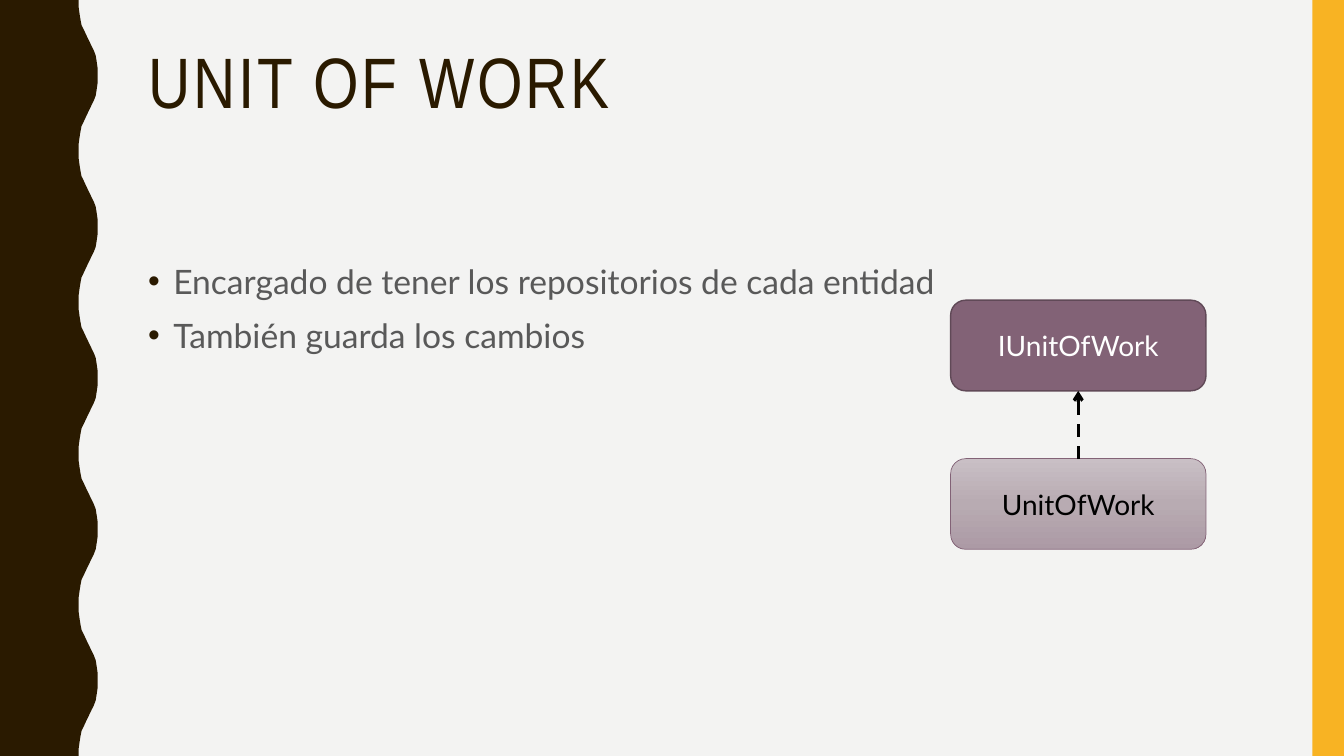
import copy

import pptx
import pptx.dml.color
import pptx.enum.dml
import pptx.enum.shapes
import pptx.enum.text
import pptx.oxml
import pptx.oxml.ns
import pptx.util

Pt = pptx.util.Pt
RGBColor = pptx.dml.color.RGBColor
Shape = pptx.enum.shapes.MSO_SHAPE
Anchor = pptx.enum.text.MSO_ANCHOR
Align = pptx.enum.text.PP_ALIGN
qn = pptx.oxml.ns.qn

PAPER = RGBColor(0xF3, 0xF3, 0xF2)
BROWN = RGBColor(0x2A, 0x1A, 0x00)
AMBER = RGBColor(0xF8, 0xB3, 0x23)
GRAY = RGBColor(0x59, 0x59, 0x59)
PLUM = RGBColor(0x82, 0x62, 0x76)
DARK_PLUM = RGBColor(0x60, 0x49, 0x57)
WHITE = RGBColor(0xFF, 0xFF, 0xFF)
BLACK = RGBColor(0x00, 0x00, 0x00)
PLUM_FADE = [
    (0, RGBColor(0xC9, 0xBF, 0xC5)),
    (0.5, RGBColor(0xB8, 0xAB, 0xB2)),
    (1, RGBColor(0xAC, 0x9A, 0xA5)),
]


def write_text(shape, lines, color, anchor, font_format, paragraph_format):
    """Fill a shape with one formatted paragraph per line and return them."""
    frame = shape.text_frame
    frame.text = "\n".join(lines)
    frame.word_wrap = True
    frame.auto_size = pptx.enum.text.MSO_AUTO_SIZE.NONE
    frame.vertical_anchor = anchor
    for para in frame.paragraphs:
        for name, value in paragraph_format.items():
            setattr(para, name, value)
        span = para.runs[0]
        for name, value in font_format.items():
            setattr(span.font, name, value)
        span.font.color.rgb = color
    return frame.paragraphs


def place(shape, left, top, width, height):
    """Move and size a shape, in points."""
    shape.left, shape.top = Pt(left), Pt(top)
    shape.width, shape.height = Pt(width), Pt(height)


deck = pptx.Presentation()
deck.slide_width, deck.slide_height = Pt(960), Pt(540)
page = deck.slides.add_slide(deck.slide_layouts[1])
page.background.fill.solid()
page.background.fill.fore_color.rgb = PAPER

# Wavy left edge: a half wave going out, then the same one mirrored back
WAVE_LENGTH = 108
HALF_WAVE = [
    (56.2, 0), (56.2, 5), (56.9, 10), (57.6, 14.4), (58.3, 18),
    (59.8, 21), (61.2, 24), (62.6, 27), (64.1, 30), (65.5, 33),
    (67, 36), (68.4, 39.6), (69.1, 44), (69.8, 49), (69.8, 54),
]
full_wave = HALF_WAVE + [(x, WAVE_LENGTH - y) for x, y in HALF_WAVE[-2::-1]]
outline = [(Pt(x), Pt(y + count * WAVE_LENGTH))
           for count in range(5) for x, y in full_wave]
builder = page.shapes.build_freeform(0, 0)
builder.add_line_segments(outline + [(0, Pt(540))], close=True)
wave_band = builder.convert_to_shape()
side_bar = page.shapes.add_shape(
    Shape.RECTANGLE, Pt(937.5), 0, Pt(22.5), Pt(540))
for band, color in [(wave_band, BROWN), (side_bar, AMBER)]:
    band.shadow.inherit = False
    band.fill.solid()
    band.fill.fore_color.rgb = color
    band.line.fill.background()

# Title and list, brought in front of the bands
title, body = page.shapes.title, page.placeholders[1]
for holder in (title, body):
    page.shapes.element.append(holder.element)
place(title, 98.6, 30.2, 801.4, 117.4)
place(body, 98.6, 180, 801.4, 283)

heading = write_text(
    title, ["UNIT OF WORK"], BROWN, Anchor.TOP,
    {"name": "Arial Narrow", "size": Pt(51)},
    {"alignment": Align.LEFT, "line_spacing": 0.9})[0]
heading.runs[0].font.element.set("spc", "200") if hasattr(
    heading.runs[0].font, "element") else heading.runs[0]._r.get_or_add_rPr().set("spc", "200")

points = write_text(
    body,
    ["Encargado de tener los repositorios de cada entidad",
     "También guarda los cambios"],
    GRAY, Anchor.TOP,
    {"name": "Lato", "size": Pt(24)},
    {"alignment": Align.LEFT, "line_spacing": 1.1, "space_before": Pt(7)})
NAMESPACE = pptx.oxml.ns.nsdecls("a")
BULLET = [
    f'<a:buClr {NAMESPACE}><a:srgbClr val="{BROWN}"/></a:buClr>',
    f'<a:buFont {NAMESPACE} typeface="Arial"/>',
    f'<a:buChar {NAMESPACE} char="•"/>',
]
for para in points:
    settings = para._p.get_or_add_pPr()
    settings.set("marL", str(Pt(18)))
    settings.set("indent", str(Pt(-18)))
    for part in BULLET:
        settings.append(pptx.oxml.parse_xml(part))

# Interface above, class below
boxes = []
for label, top, text_color, line_color, line_width in [
    ("IUnitOfWork", 214.4, WHITE, DARK_PLUM, 1),
    ("UnitOfWork", 327.6, BLACK, PLUM, 0.5),
]:
    box = page.shapes.add_shape(
        Shape.ROUNDED_RECTANGLE, Pt(679), Pt(top), Pt(182.4), Pt(64.8))
    box.shadow.inherit = False
    box.line.color.rgb = line_color
    box.line.width = Pt(line_width)
    write_text(box, [label], text_color, Anchor.MIDDLE,
               {"name": "Lato", "size": Pt(20)}, {"alignment": Align.CENTER})
    boxes.append(box)
interface_box, class_box = boxes

interface_box.fill.solid()
interface_box.fill.fore_color.rgb = PLUM

class_box.fill.gradient()
class_box.fill.gradient_angle = 270
stop_list = class_box.element.find(".//" + qn("a:gsLst"))
stop_list.insert(1, copy.deepcopy(stop_list[0]))
for stop, (position, color) in zip(class_box.fill.gradient_stops, PLUM_FADE):
    stop.position = position
    stop.color.rgb = color

# Dashed arrow from the class up to its interface
arrow = page.shapes.add_connector(
    pptx.enum.shapes.MSO_CONNECTOR.STRAIGHT, 0, 0, 0, 0)
arrow.begin_connect(class_box, 0)
arrow.end_connect(interface_box, 2)
arrow.line.color.rgb = BLACK
arrow.line.width = Pt(2.25)
arrow.line.dash_style = pptx.enum.dml.MSO_LINE.DASH
arrow_line = arrow.element.spPr.find(qn("a:ln"))
arrow_line.append(pptx.oxml.parse_xml(f'<a:tailEnd {NAMESPACE} type="arrow"/>'))
arrow.element.spPr.append(pptx.oxml.parse_xml(f"<a:effectLst {NAMESPACE}/>"))

deck.save("out.pptx")
